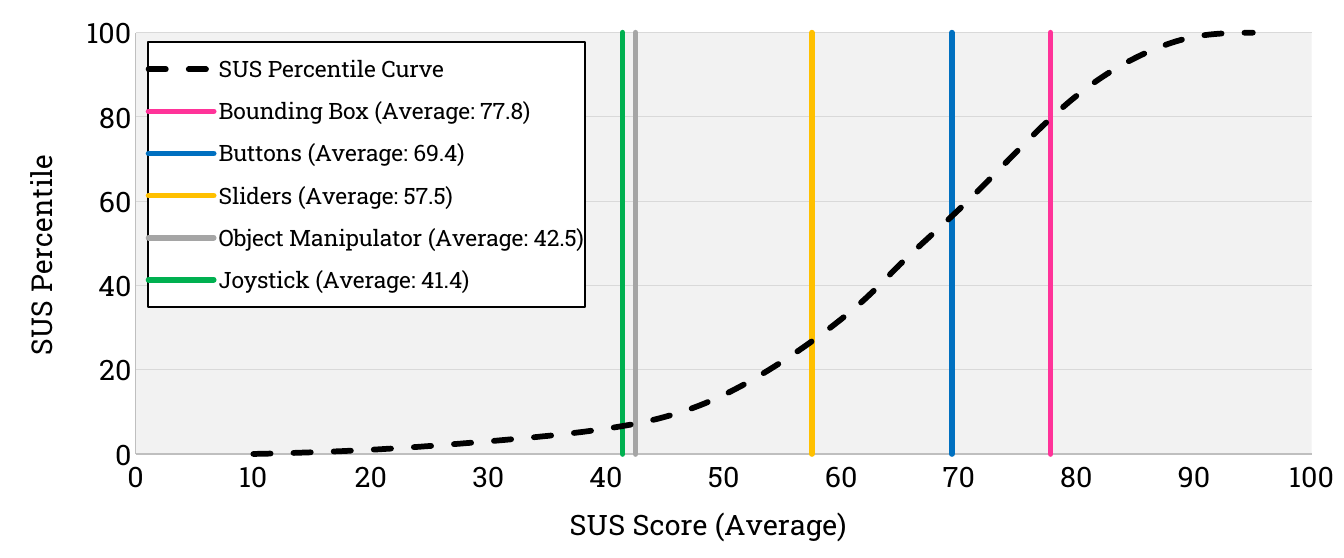
from pptx import Presentation
from pptx.chart.data import XyChartData
from pptx.dml.color import RGBColor
from pptx.enum.chart import XL_CHART_TYPE, XL_LEGEND_POSITION, XL_TICK_MARK
from pptx.enum.dml import MSO_LINE
from pptx.oxml import parse_xml
from pptx.oxml.ns import nsdecls, qn
from pptx.util import Inches, Pt

# Content
CURVE = [(5, 0), (10, 0), (20, 1), (30, 3), (40, 6), (50, 14), (60, 32),
         (65, 45), (70, 58), (75, 72), (80, 85), (85, 94), (90, 99), (95, 100)]
AVERAGES = [("Bounding Box", 77.8), ("Buttons", 69.4), ("Sliders", 57.5),
            ("Object Manipulator", 42.5), ("Joystick", 41.4)]
COLORS = {
    "Curve": "000000", "Bounding Box": "FF3399", "Buttons": "0070C0",
    "Sliders": "FFC000", "Object Manipulator": "A5A5A5", "Joystick": "00B050",
    "text": "000000", "axis": "BFBFBF", "grid": "D9D9D9",
    "plot": "F2F2F2", "legend": "FFFFFF", "border": "000000",
}
FONT = "Roboto Slab"


def color(name):
    return RGBColor.from_string(COLORS[name])


def set_font(font, size):
    formats = {"name": FONT, "size": Pt(size), "bold": False}
    for key, value in formats.items():
        setattr(font, key, value)
    font.color.rgb = color("text")


def set_line(line, name, width):
    line.color.rgb = color(name)
    line.width = Pt(width)


def layout_xml(left, top, width=None, height=None, inner=False):
    """Manual layout in fractions of the chart area."""
    parts = [("layoutTarget", "inner")] if inner else []
    parts += [("xMode", "edge"), ("yMode", "edge"), ("x", left), ("y", top)]
    if width:
        parts += [("w", width), ("h", height)]
    body = "".join(f'<c:{tag} val="{value}"/>' for tag, value in parts)
    return parse_xml(f'<c:layout {nsdecls("c")}><c:manualLayout>{body}'
                     '</c:manualLayout></c:layout>')


def place(element, after, layout):
    """Put a manual layout into a chart part, after the given child if any."""
    for old in element.findall(qn("c:layout")):
        element.remove(old)
    if after:
        element.find(qn(after)).addnext(layout)
    else:
        element.insert(0, layout)


def area_xml(fill, border=None):
    line = (f'<a:ln w="{Pt(1.5)}"><a:solidFill><a:srgbClr val="{COLORS[border]}"/>'
            '</a:solidFill></a:ln>') if border else "<a:ln><a:noFill/></a:ln>"
    return parse_xml(f'<c:spPr {nsdecls("c", "a")}><a:solidFill>'
                     f'<a:srgbClr val="{COLORS[fill]}"/></a:solidFill>{line}</c:spPr>')


# Slide
deck = Presentation()
deck.slide_width, deck.slide_height = Inches(13), Inches(5.4)
page = deck.slides.add_slide(deck.slide_layouts[6])

# Chart data: the curve and one vertical line for each average
data = XyChartData()
lines = [("SUS Percentile Curve", CURVE)]
lines += [(f"{name} (Average: {score})", [(score, 0), (score, 100)])
          for name, score in AVERAGES]
for label, points in lines:
    series = data.add_series(label)
    for x, y in points:
        series.add_data_point(x, y)

chart = page.shapes.add_chart(
    XL_CHART_TYPE.XY_SCATTER_SMOOTH_NO_MARKERS,
    Inches(0), Inches(-0.06), Inches(13), Inches(5.4), data).chart
chart.has_title = False
set_font(chart.font, 16)
chart.plots[0].vary_by_categories = False

# Series
for series, name in zip(chart.plots[0].series,
                        ["Curve"] + [name for name, score in AVERAGES]):
    set_line(series.format.line, name, 4)
    if name == "Curve":
        series.format.line.dash_style = MSO_LINE.DASH
    series.format.line._get_or_add_ln().set("cap", "rnd")
    series._element.get_or_add_smooth().set("val", "1")

# Axes
AXES = [(chart.category_axis, "SUS Score (Average)", 10, False, (0.42, 0.92), 0),
        (chart.value_axis, "SUS Percentile", 20, True, (0.01, 0.29), -5400000)]
for axis, title, step, grid, corner, turn in AXES:
    formats = {"minimum_scale": 0, "maximum_scale": 100, "major_unit": step,
               "major_tick_mark": XL_TICK_MARK.NONE,
               "minor_tick_mark": XL_TICK_MARK.NONE,
               "has_major_gridlines": grid}
    for key, value in formats.items():
        setattr(axis, key, value)
    axis.tick_labels.number_format = "General"
    axis.tick_labels.number_format_is_linked = False
    set_font(axis.tick_labels.font, 20)
    set_line(axis.format.line, "axis", 0.75)
    if grid:
        set_line(axis.major_gridlines.format.line, "grid", 0.75)
    frame = axis.axis_title.text_frame
    span = frame.paragraphs[0].add_run()
    span.text = title
    set_font(span.font, 20)
    turned = frame._txBody.find(qn("a:bodyPr"))
    turned.set("rot", str(turn))
    turned.set("vert", "horz")
    place(axis.axis_title._element, "c:tx", layout_xml(*corner))

# Plot area
plot_area = chart._chartSpace.chart.plotArea
place(plot_area, None, layout_xml(0.101, 0.071, 0.875, 0.769, inner=True))
plot_area.append(area_xml("plot"))

# Legend
chart.has_legend = True
legend = chart.legend
legend.position = XL_LEGEND_POSITION.TOP
legend.include_in_layout = False
set_font(legend.font, 16)
place(legend._element, "c:legendPos", layout_xml(0.11, 0.088, 0.325, 0.484))
legend._element.find(qn("c:overlay")).set("val", "1")
legend._element.find(qn("c:txPr")).addprevious(area_xml("legend", "border"))

deck.save("out.pptx")
